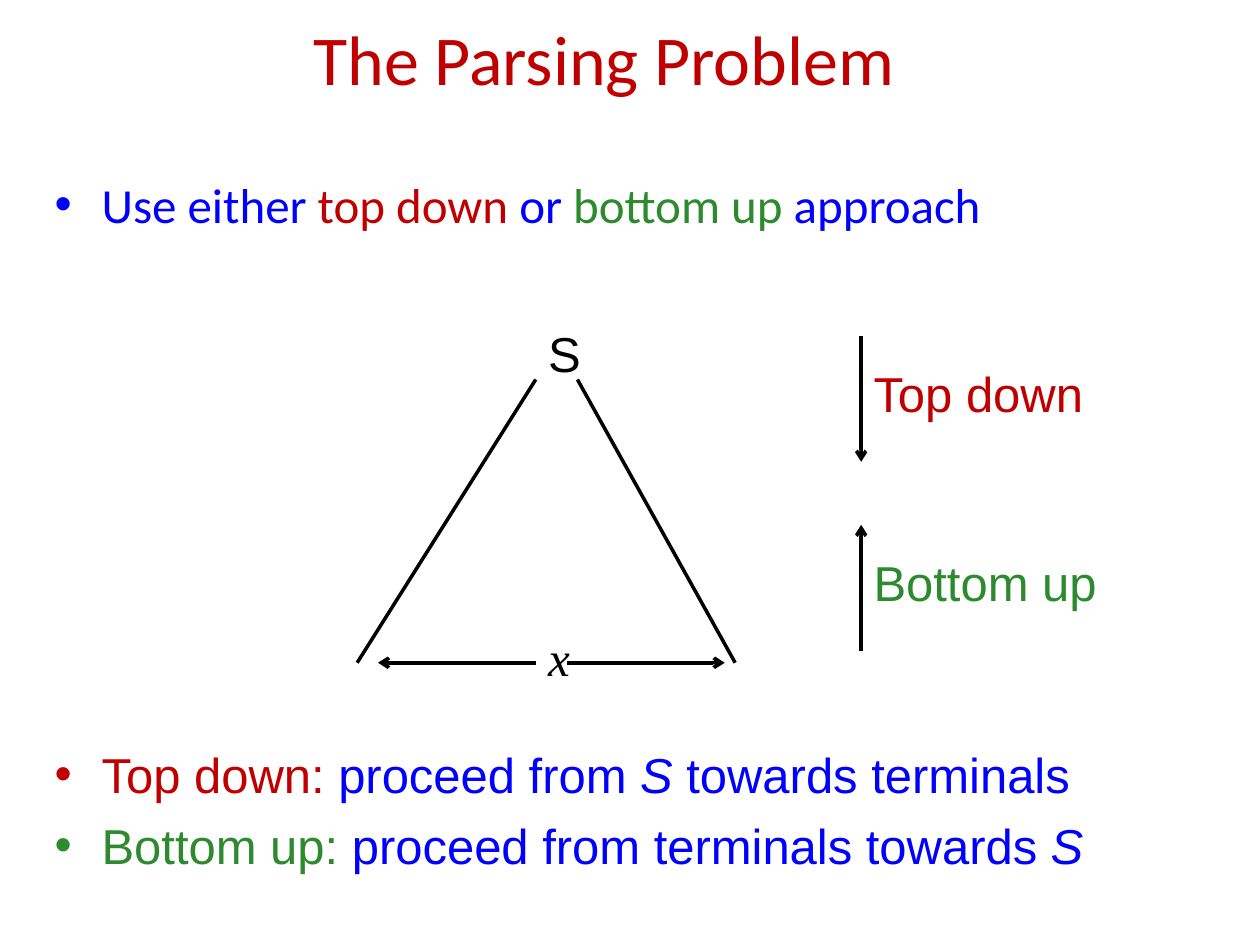
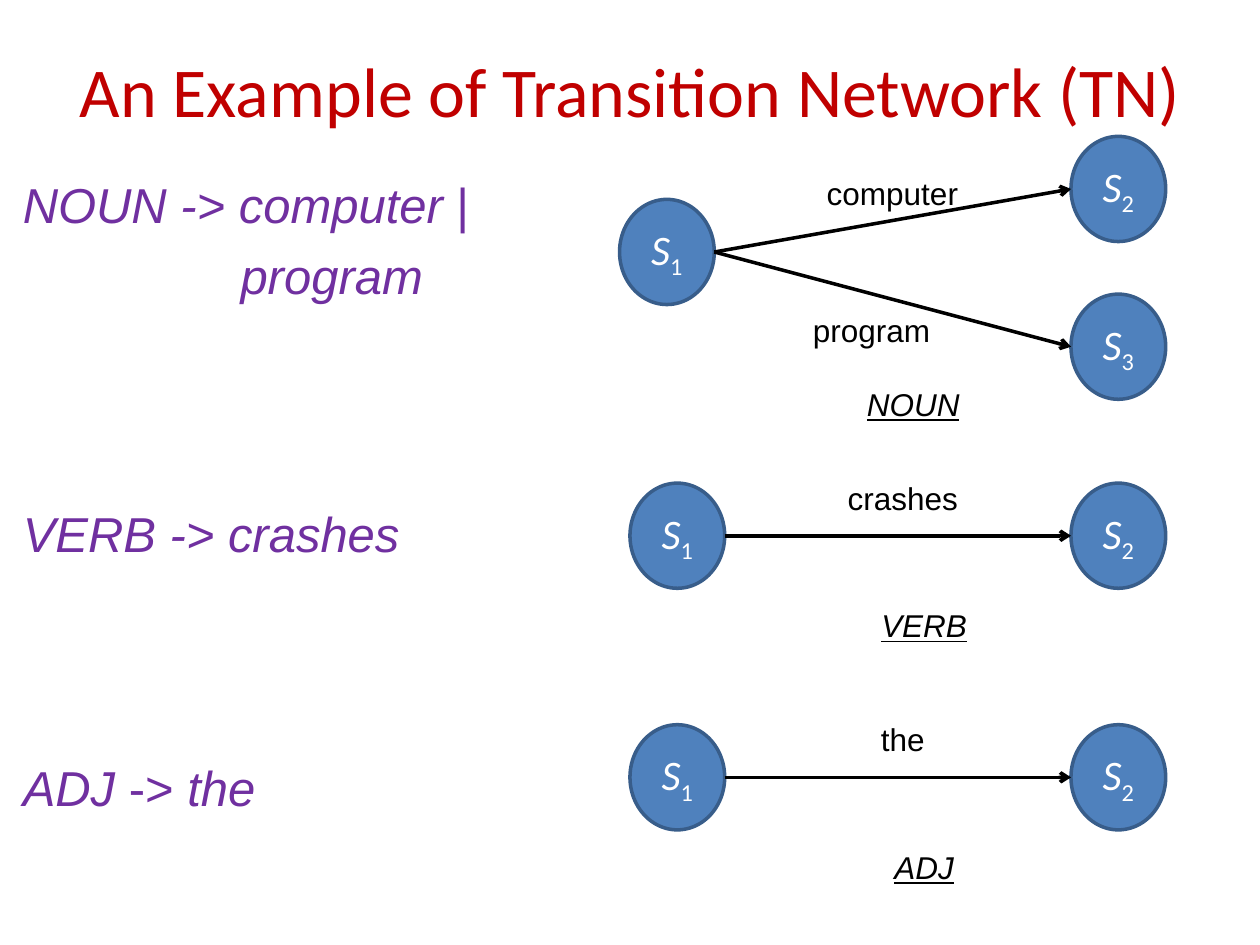
from dataclasses import dataclass
from typing import NamedTuple

from lxml import etree
from pptx import Presentation
from pptx import util as u
from pptx.dml.color import RGBColor
from pptx.enum import shapes, text
from pptx.oxml.ns import qn


@dataclass(frozen=True)
class Theme:
    red: str = "C00000"
    blue: str = "0000FF"
    green: str = "2E8A2E"
    purple: str = "7030A0"
    black: str = "000000"
    white: str = "FFFFFF"
    state_fill: str = "4F81BD"
    state_edge: str = "385D8A"
    heading: str = "Calibri"
    body: str = "Arial"
    math: str = "Times New Roman"
    title_size: float = 40
    body_size: float = 28
    state_size: float = 24
    label_size: float = 18
    line_width: float = 2
    body_gap: float = 7


THEME = Theme()
CENTER = text.PP_ALIGN.CENTER
STATE_WIDTH, STATE_HEIGHT = 1.91, 2.12
LABEL_WIDTH, LABEL_HEIGHT = 3.38, 1.02


class Span(NamedTuple):
    text: str
    color: str = THEME.black
    font: str = THEME.body
    size: float = THEME.body_size
    italic: bool = False
    underline: bool = False
    subscript: bool = False


class Line(NamedTuple):
    spans: list[Span]
    before: float = 0
    indent: float = 0
    hanging: float = 0
    bullet: str | None = None
    align: text.PP_ALIGN = text.PP_ALIGN.LEFT


class Point(NamedTuple):
    x: float
    y: float


class State(NamedTuple):
    number: int
    left: float
    top: float

    @property
    def entry(self) -> Point:
        return Point(self.left, self.top + STATE_HEIGHT / 2)

    @property
    def exit(self) -> Point:
        return Point(self.left + STATE_WIDTH, self.top + STATE_HEIGHT / 2)


class Label(NamedTuple):
    text: str
    left: float
    top: float


@dataclass(frozen=True)
class Network:
    name: Label
    start: State
    ends: list[State]
    words: list[Label]


def simple_network(name: str, word: str, top: float) -> Network:
    """Two states on one row, joined by a single word."""
    return Network(Label(name, 16.94, top + 2.36), State(1, 12.7, top),
                   [State(2, 21.59, top)], [Label(word, 16.51, top - 0.21)])


NETWORKS = [
    Network(Label("NOUN", 16.72, 7.64), State(1, 12.49, 4.02),
            [State(2, 21.59, 2.75), State(3, 21.59, 5.93)],
            [Label("computer", 16.3, 3.39), Label("program", 15.88, 6.14)]),
    simple_network("VERB", "crashes", 9.74),
    simple_network("ADJ", "the", 14.61),
]


def write_span(para, span: Span) -> None:
    run = para.add_run()
    run.text = span.text
    font = run.font
    font.name, font.size = span.font, u.Pt(span.size)
    font.italic, font.underline = span.italic, span.underline
    font.color.rgb = RGBColor.from_string(span.color)
    if span.subscript:
        run._r.get_or_add_rPr().set("baseline", "-25000")


def add_bullet(properties, color: str) -> None:
    fill = etree.SubElement(properties, qn("a:buClr"))
    etree.SubElement(fill, qn("a:srgbClr")).set("val", color)
    etree.SubElement(properties, qn("a:buFont")).set("typeface", THEME.body)
    etree.SubElement(properties, qn("a:buChar")).set("char", "•")


def write_lines(frame, lines: list[Line]) -> None:
    for index, line in enumerate(lines):
        para = frame.add_paragraph() if index else frame.paragraphs[0]
        para.alignment = line.align
        para.space_before = u.Pt(line.before)
        properties = para._p.get_or_add_pPr()
        properties.set("marL", str(u.Cm(line.indent)))
        properties.set("indent", str(-u.Cm(line.hanging)))
        if line.bullet:
            add_bullet(properties, line.bullet)
        for span in line.spans:
            write_span(para, span)


def add_text(page, left: float, top: float, width: float, height: float,
             lines: list[Line], anchor=text.MSO_ANCHOR.TOP) -> None:
    box = page.shapes.add_textbox(u.Cm(left), u.Cm(top), u.Cm(width), u.Cm(height))
    box.text_frame.word_wrap = True
    box.text_frame.vertical_anchor = anchor
    write_lines(box.text_frame, lines)


def add_title(page, title: str, left: float, top: float, width: float) -> None:
    span = Span(title, THEME.red, THEME.heading, THEME.title_size)
    add_text(page, left, top, width, 1.48, [Line([span], align=CENTER)],
             text.MSO_ANCHOR.MIDDLE)


def add_line(page, start: Point, end: Point, arrow: bool = True) -> None:
    line = page.shapes.add_connector(shapes.MSO_CONNECTOR.STRAIGHT,
                                     *(u.Cm(value) for value in (*start, *end)))
    line.line.color.rgb = RGBColor.from_string(THEME.black)
    line.line.width = u.Pt(THEME.line_width)
    if arrow:
        edge = line.line._get_or_add_ln()
        etree.SubElement(edge, qn("a:tailEnd")).set("type", "arrow")
    etree.SubElement(line._element.spPr, qn("a:effectLst"))


def add_state(page, state: State) -> None:
    circle = page.shapes.add_shape(
        shapes.MSO_SHAPE.OVAL, u.Cm(state.left), u.Cm(state.top),
        u.Cm(STATE_WIDTH), u.Cm(STATE_HEIGHT))
    circle.shadow.inherit = False
    circle.fill.solid()
    circle.fill.fore_color.rgb = RGBColor.from_string(THEME.state_fill)
    circle.line.color.rgb = RGBColor.from_string(THEME.state_edge)
    circle.line.width = u.Pt(THEME.line_width)
    circle.text_frame.vertical_anchor = text.MSO_ANCHOR.MIDDLE
    letter = Span("S", THEME.white, THEME.heading, THEME.state_size, italic=True)
    number = letter._replace(text=str(state.number), italic=False, subscript=True)
    write_lines(circle.text_frame, [Line([letter, number], align=CENTER)])


def add_label(page, label: Label, name: bool = False) -> None:
    span = Span(label.text, size=THEME.label_size, italic=name, underline=name)
    add_text(page, label.left, label.top, LABEL_WIDTH, LABEL_HEIGHT,
             [Line([span], align=CENTER)])


def add_network(page, network: Network) -> None:
    for state in (network.start, *network.ends):
        add_state(page, state)
    for end in network.ends:
        add_line(page, network.start.exit, end.entry)
    for word in network.words:
        add_label(page, word)
    add_label(page, network.name, name=True)


def bullet_line(spans: list[Span], before: float = THEME.body_gap) -> Line:
    return Line(spans, before, indent=0.95, hanging=0.95, bullet=spans[0].color)


def add_parse_tree(page) -> None:
    base = 13.36
    add_text(page, 10.8, 6.4, 0.84, 1.45, [Line([Span("S")], align=CENTER)])
    add_line(page, Point(10.8, 7.65), Point(7.2, base), arrow=False)
    add_line(page, Point(11.64, 7.65), Point(14.82, base), arrow=False)
    leaf = Span("x", font=THEME.math, italic=True)
    add_text(page, 10.8, 12.52, 0.84, 1.45, [Line([leaf], align=CENTER)])
    add_line(page, Point(10.8, base), Point(7.62, base))
    add_line(page, Point(11.43, base), Point(14.61, base))


def add_direction(page, caption: str, color: str, top: float, down: bool) -> None:
    high, low = Point(17.36, top), Point(17.36, top + 2.54)
    add_line(page, *((high, low) if down else (low, high)))
    add_text(page, 17.36, top + 0.43, 5.29, 1.45, [Line([Span(caption, color)])])


def build_parsing_page(page) -> None:
    def heading(words: str, color: str) -> Span:
        return Span(words, color, THEME.heading)

    add_title(page, "The Parsing Problem", 0.85, 0.42, 22.65)
    symbol = Span("S", THEME.blue, italic=True)
    add_text(page, 0.85, 3.39, 22.81, 15.03, [
        bullet_line([heading("Use either ", THEME.blue), heading("top down ", THEME.red),
                     heading("or ", THEME.blue), heading("bottom up", THEME.green),
                     heading(" approach", THEME.blue)]),
        bullet_line([Span("Top down: ", THEME.red), Span("proceed from ", THEME.blue),
                     symbol, Span(" towards terminals", THEME.blue)], before=292),
        bullet_line([Span("Bottom up: ", THEME.green),
                     Span("proceed from terminals towards ", THEME.blue), symbol]),
    ])
    add_parse_tree(page)
    add_direction(page, "Top down", THEME.red, 6.77, down=True)
    add_direction(page, "Bottom up", THEME.green, 10.58, down=False)


def build_network_page(page) -> None:
    def rule(words: str, italic: bool = True) -> Span:
        return Span(words, THEME.purple, italic=italic)

    add_title(page, "An Example of Transition Network (TN)", 0, 1.06, 25.4)
    add_text(page, 0.21, 3.39, 13.34, 13.97, [
        Line([rule("NOUN -> computer "), rule("|", italic=False)], THEME.body_gap),
        Line([rule("program")], THEME.body_gap, indent=4.39),
        Line([rule("VERB -> crashes")], before=114),
        Line([rule("ADJ"), rule(" -> ", italic=False), rule("the")], before=111.5),
    ])
    for network in NETWORKS:
        add_network(page, network)


def main() -> None:
    deck = Presentation()
    deck.slide_width, deck.slide_height = u.Cm(25.4), u.Cm(19.05)
    for build in (build_parsing_page, build_network_page):
        build(deck.slides.add_slide(deck.slide_layouts[6]))
    deck.save("out.pptx")


if __name__ == "__main__":
    main()
